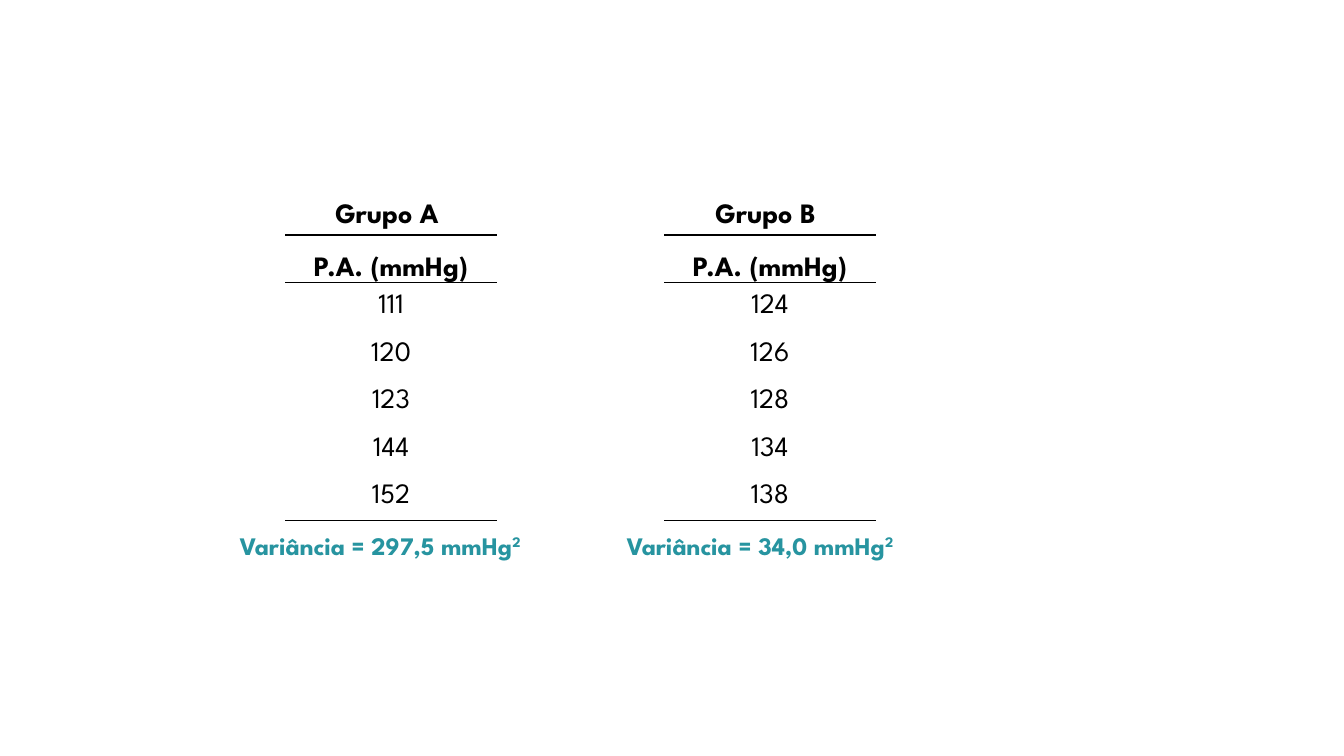
from dataclasses import dataclass

from lxml import etree
from pptx import Presentation
from pptx import util as u
from pptx.dml.color import RGBColor
from pptx.enum import text
from pptx.oxml.ns import qn

FONT = "League Spartan"
BLACK, TEAL = "000000", "2794A0"
TABLE_TOP, TABLE_WIDTH, ROW_HEIGHT = 5.92, 5.33, 1.2
TITLE_TOP, VARIANCE_TOP = 4.8, 13.23


@dataclass
class Group:
    title: str
    pressures: list[int]
    variance: str
    table_left: float
    title_left: float
    title_width: float
    variance_left: float
    variance_width: float


GROUPS = [
    Group("Grupo A", [111, 120, 123, 144, 152], "297,5", 7.19, 8.2, 3.28, 5.79, 8.13),
    Group("Grupo B", [124, 126, 128, 134, 138], "34,0", 16.74, 17.78, 3.23, 15.54, 7.75),
]


def add_text(paragraph, content: str, size: float = 20, color: str = BLACK,
             bold: bool = False, superscript: bool = False) -> None:
    run = paragraph.add_run()
    run.text = content
    run.font.name, run.font.size, run.font.bold = FONT, u.Pt(size), bold
    run.font.color.rgb = RGBColor.from_string(color)
    if superscript:
        run.font._element.set("baseline", "30000")


def add_label(slide, left: float, top: float, width: float, height: float):
    """Add an unwrapped text box and return its paragraph."""
    frame = slide.shapes.add_textbox(u.Cm(left), u.Cm(top), u.Cm(width), u.Cm(height)).text_frame
    frame.word_wrap = False
    frame.auto_size = text.MSO_AUTO_SIZE.SHAPE_TO_FIT_TEXT
    return frame.paragraphs[0]


def set_borders(cell, ruled_sides: str) -> None:
    """Rule the sides named by letters among L, R, T and B; clear the others."""
    properties = cell._tc.get_or_add_tcPr()
    for side in "LRTB":
        line = etree.SubElement(properties, qn(f"a:ln{side}"))
        if side in ruled_sides:
            line.set("w", str(u.Pt(1.5)))
            fill = etree.SubElement(line, qn("a:solidFill"))
            etree.SubElement(fill, qn("a:srgbClr"), val=BLACK)
        else:
            etree.SubElement(line, qn("a:noFill"))


def add_pressure_table(slide, group: Group) -> None:
    rows = ["P.A. (mmHg)", *map(str, group.pressures)]
    table = slide.shapes.add_table(
        len(rows), 1, u.Cm(group.table_left), u.Cm(TABLE_TOP),
        u.Cm(TABLE_WIDTH), u.Cm(ROW_HEIGHT * len(rows))).table
    table.first_row = table.horz_banding = False
    ruled_sides = {0: "TB", 1: "T", len(rows) - 1: "B"}
    for index, content in enumerate(rows):
        is_header = index == 0
        cell = table.cell(index, 0)
        cell.margin_left = cell.margin_right = cell.margin_top = u.Cm(0.03)
        cell.margin_bottom = 0
        cell.vertical_anchor = text.MSO_ANCHOR.BOTTOM if is_header else text.MSO_ANCHOR.MIDDLE
        set_borders(cell, ruled_sides.get(index, ""))
        cell.fill.background()
        paragraph = cell.text_frame.paragraphs[0]
        paragraph.alignment = text.PP_ALIGN.CENTER
        add_text(paragraph, content, bold=is_header)


def add_group(slide, group: Group) -> None:
    add_pressure_table(slide, group)
    title = add_label(slide, group.title_left, TITLE_TOP, group.title_width, 1.11)
    add_text(title, group.title, bold=True)
    variance = add_label(slide, group.variance_left, VARIANCE_TOP, group.variance_width, 1.03)
    add_text(variance, f"Variância = {group.variance} mmHg", size=18, color=TEAL, bold=True)
    add_text(variance, "2", size=18, color=TEAL, bold=True, superscript=True)


def main() -> None:
    presentation = Presentation()
    presentation.slide_width, presentation.slide_height = u.Cm(33.87), u.Cm(19.05)
    slide = presentation.slides.add_slide(presentation.slide_layouts[6])
    for group in GROUPS:
        add_group(slide, group)
    presentation.save("out.pptx")


if __name__ == "__main__":
    main()
